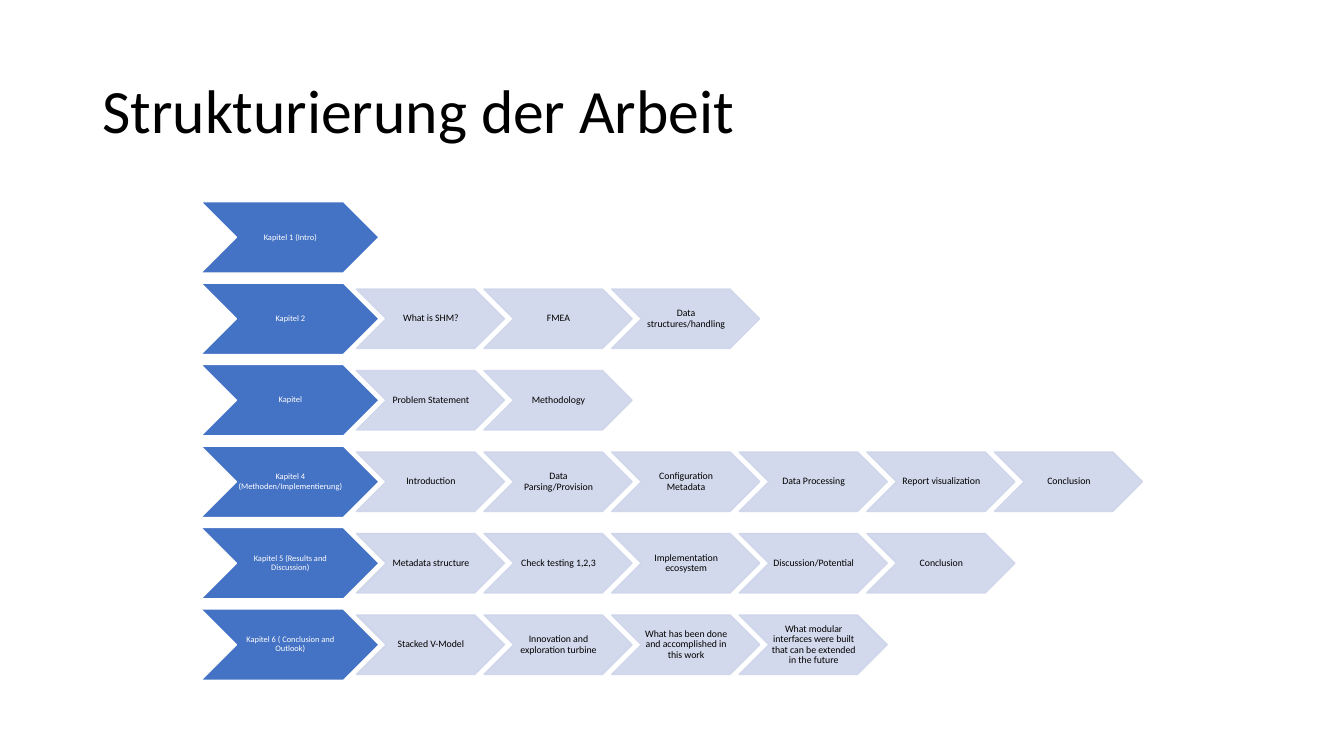
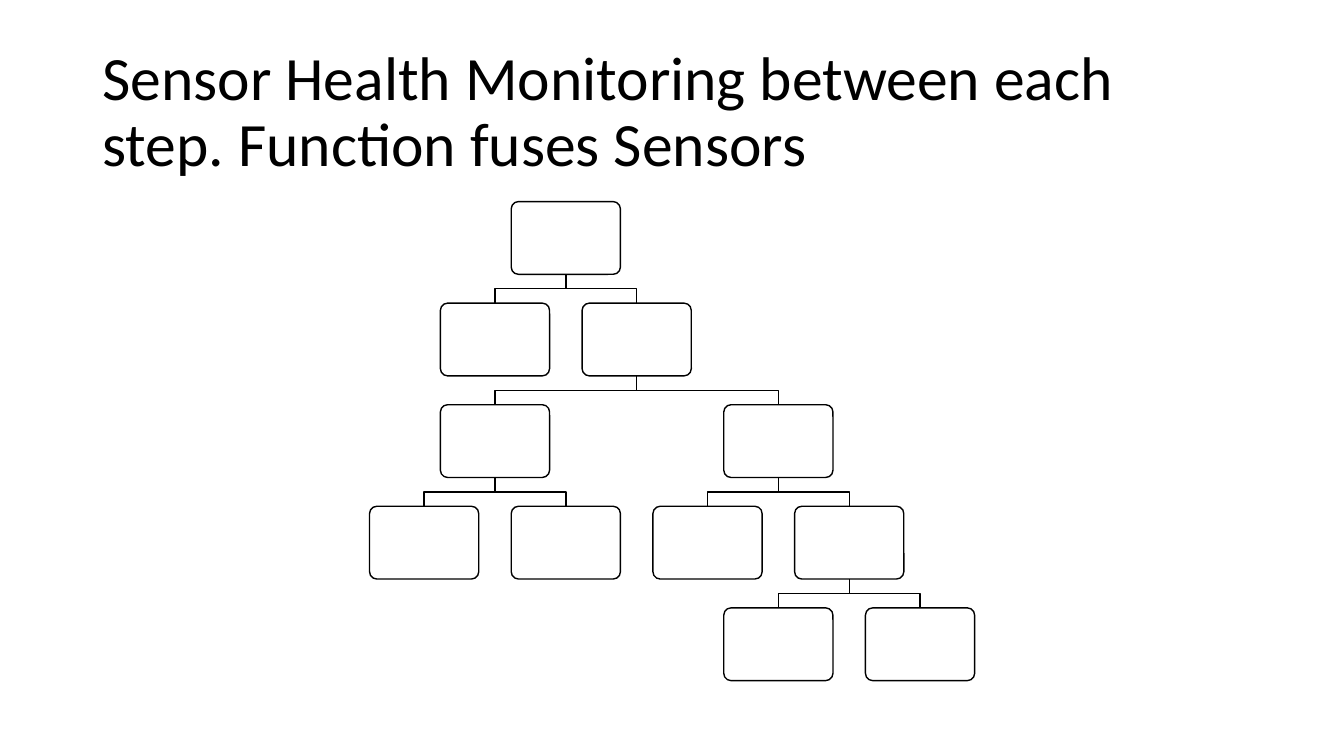
from dataclasses import dataclass

from lxml import etree
from pptx import Presentation
from pptx import util as u
from pptx.dml.color import RGBColor
from pptx.enum import shapes, text
from pptx.oxml.ns import qn


@dataclass(frozen=True)
class Theme:
    font: str = "Calibri"
    ink: str = "000000"
    paper: str = "FFFFFF"
    chapter: str = "4472C4"
    step: str = "CFD5EA"
    step_alpha: int = 90
    title_size: float = 44
    chapter_size: float = 6
    step_size: float = 7
    line_width: float = 1
    line_spacing: float = 0.9


class Deck:
    def __init__(self, theme):
        self.theme = theme
        self.prs = Presentation()
        self.prs.slide_width, self.prs.slide_height = u.Pt(960), u.Pt(540)
        self.s = None

    def slide(self, title):
        self.s = self.prs.slides.add_slide(self.prs.slide_layouts[5])
        sp = self.s.shapes.title
        sp.left, sp.top, sp.width, sp.height = map(u.Pt, (66, 28.75, 828, 104.4))
        self.label(sp, title, self.theme.title_size, self.theme.ink, text.PP_ALIGN.LEFT)

    def label(self, sp, content, size, color, align):
        tf = sp.text_frame
        tf.text = content
        tf.word_wrap = True
        tf.auto_size = text.MSO_AUTO_SIZE.NONE
        tf.vertical_anchor = text.MSO_ANCHOR.MIDDLE
        p = tf.paragraphs[0]
        p.alignment = align
        p.line_spacing = self.theme.line_spacing
        font = p.runs[0].font
        font.name, font.size = self.theme.font, u.Pt(size)
        font.color.rgb = RGBColor.from_string(color)

    def paint(self, sp, fill, line):
        sp.shadow.inherit = False
        if fill:
            sp.fill.solid()
            sp.fill.fore_color.rgb = RGBColor.from_string(fill)
        else:
            sp.fill.background()
        sp.line.color.rgb = RGBColor.from_string(line)
        sp.line.width = u.Pt(self.theme.line_width)

    def shape(self, kind, x, y, w, h, fill, line):
        sp = self.s.shapes.add_shape(kind, *map(u.Pt, (x, y, w, h)))
        self.paint(sp, fill, line)
        return sp

    def chevron(self, x, y, w, h, content, fill, line, size, color, alpha=100):
        sp = self.shape(shapes.MSO_SHAPE.CHEVRON, x, y, w, h, fill, line)
        if alpha < 100:
            for clr in sp.element.spPr.iter(qn("a:srgbClr")):
                etree.SubElement(clr, qn("a:alpha")).set("val", str(alpha * 1000))
        tf = sp.text_frame
        tf.margin_left = u.Pt(0.6)
        tf.margin_top = tf.margin_right = tf.margin_bottom = 0
        self.label(sp, content, size, color, text.PP_ALIGN.CENTER)

    def box(self, x, y, w, h):
        sp = self.shape(shapes.MSO_SHAPE.ROUNDED_RECTANGLE, x, y, w, h,
                        self.theme.paper, self.theme.ink)
        sp.adjustments[0] = 0.1

    def elbow(self, x1, y1, x2, y2):
        mid = (y1 + y2) / 2
        start, *rest = [(u.Pt(x), u.Pt(y))
                        for x, y in ((x1, y1), (x1, mid), (x2, mid), (x2, y2))]
        outline = self.s.shapes.build_freeform(*start)
        outline.add_line_segments(rest, close=False)
        self.paint(outline.convert_to_shape(), None, self.theme.ink)


CHAPTERS = [
    ("Kapitel 1 (Intro)", []),
    ("Kapitel 2", ["What is SHM?", "FMEA", "Data structures/handling"]),
    ("Kapitel", ["Problem Statement", "Methodology"]),
    ("Kapitel 4 (Methoden/Implementierung)",
     ["Introduction", "Data Parsing/Provision", "Configuration Metadata",
      "Data Processing", "Report visualization", "Conclusion"]),
    ("Kapitel 5 (Results and Discussion)",
     ["Metadata structure", "Check testing 1,2,3", "Implementation ecosystem",
      "Discussion/Potential", "Conclusion"]),
    ("Kapitel 6 ( Conclusion and Outlook)",
     ["Stacked V-Model", "Innovation and exploration turbine",
      "What has been done and accomplished in this work",
      "What modular interfaces were built that can be extended in the future"]),
]

SENSOR_TREE = (2, [
    (1, []),
    (3, [
        (1, [(0, []), (2, [])]),
        (5, [(4, []), (6, [(5, []), (7, [])])]),
    ]),
])

TOP = 144


def draw_chapters(deck):
    t = deck.theme
    row_pitch, step_pitch = 58.2, 91.15
    chapter_w, chapter_h = 127.4, 51
    step_w, step_h = 105.8, 42.4
    for row, (chapter, steps) in enumerate(CHAPTERS):
        y = TOP + row * row_pitch
        deck.chevron(143.4, y, chapter_w, chapter_h, chapter,
                     t.chapter, t.paper, t.chapter_size, t.paper)
        for col, step in enumerate(steps):
            deck.chevron(254.6 + col * step_pitch, y + (chapter_h - step_h) / 2,
                         step_w, step_h, step, t.step, t.step,
                         t.step_size, t.ink, t.step_alpha)


def draw_tree(deck, node, level=0):
    left, col_pitch, level_pitch = 303, 50.6, 72.55
    box_w, box_h = 78, 52
    col, children = node
    x, y = left + col * col_pitch, TOP + level * level_pitch
    deck.box(x - box_w / 2, y, box_w, box_h)
    for child in children:
        deck.elbow(x, y + box_h, left + child[0] * col_pitch, y + level_pitch)
        draw_tree(deck, child, level + 1)


deck = Deck(Theme())
deck.slide("Strukturierung der Arbeit")
draw_chapters(deck)
deck.slide("Sensor Health Monitoring between each step. Function fuses Sensors")
draw_tree(deck, SENSOR_TREE)
deck.prs.save("out.pptx")
